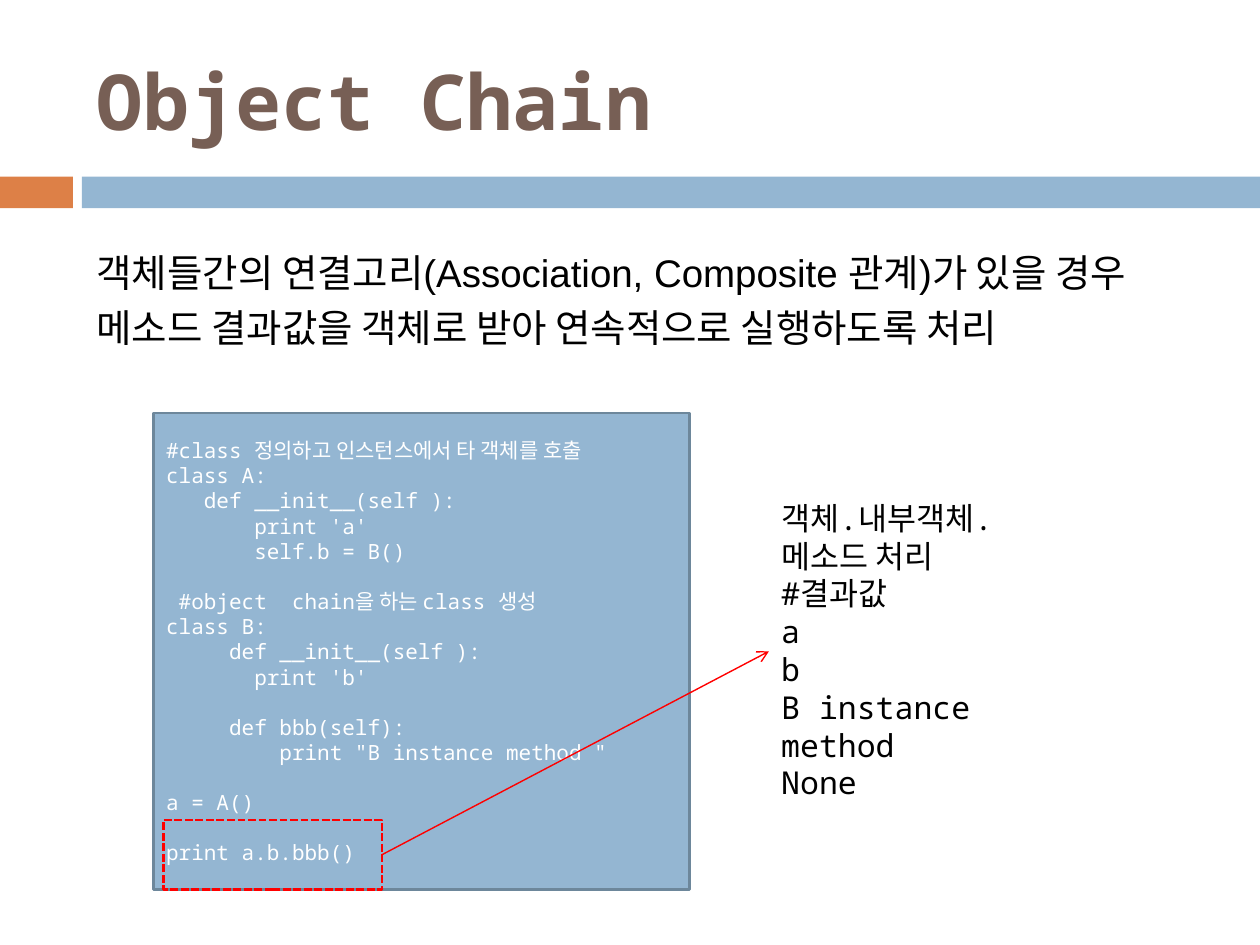
from lxml.etree import SubElement
from pptx import Presentation
from pptx.dml.color import RGBColor
from pptx.enum.dml import MSO_LINE
from pptx.enum.shapes import MSO_CONNECTOR, MSO_SHAPE
from pptx.enum.text import MSO_ANCHOR, PP_ALIGN
from pptx.oxml.ns import qn
from pptx.util import Cm, Pt

MONO = "Noto Sans Mono"
BLUE, RED = "94B6D2", "FF0000"
TITLE = "Object Chain"
INTRO = ["객체들간의 연결고리(Association, Composite 관계)가 있을 경우 "
         "메소드 결과값을 객체로 받아 연속적으로 실행하도록 처리"]
CODE = [
    ["#class 정의하고 인스턴스에서 타 객체를 호출",
     "class A:",
     "   def __init__(self ):",
     "       print 'a'",
     "       self.b = B()"],
    [" #object  chain을 하는 class 생성",
     "class B:",
     "     def __init__(self ):",
     "       print 'b'"],
    ["     def bbb(self):",
     "         print \"B instance method \""],
    ["a = A()"],
    ["print a.b.bbb()"],
]
RESULT = ["객체.내부객체.메소드 처리", "#결과값", "a", "b", "B instance method", "None"]
BANDS = [(0, 1.47, "DD8047"), (1.65, 23.75, BLUE)]


def rgb(code):
    return RGBColor.from_string(code)


def style(para, size, color, name=MONO, bold=False):
    para.alignment = PP_ALIGN.LEFT
    font = para.font
    font.size, font.name, font.bold = Pt(size), name, bold
    font.color.rgb = rgb(color)


def write(frame, lines, size, color, name=MONO):
    frame.word_wrap = True
    frame.text = "\n".join(lines)
    for para in frame.paragraphs:
        style(para, size, color, name)


def rect(slide, box, fill=None, line=None):
    shape = slide.shapes.add_shape(MSO_SHAPE.RECTANGLE, *map(Cm, box))
    shape.shadow.inherit = False
    if fill:
        shape.fill.solid()
        shape.fill.fore_color.rgb = rgb(fill)
    else:
        shape.fill.background()
    if line:
        shape.line.color.rgb = rgb(line)
        shape.line.width = Pt(1.5)
    else:
        shape.line.fill.background()
    return shape


def note(slide, box, lines, size, name=MONO):
    frame = slide.shapes.add_textbox(*map(Cm, box)).text_frame
    write(frame, lines, size, "000000", name)
    return frame


def arrow(slide, start, end):
    link = slide.shapes.add_connector(
        MSO_CONNECTOR.STRAIGHT, *map(Cm, start + end))
    link.line.color.rgb = rgb(RED)
    link.line.width = Pt(0.79)
    SubElement(link.line._get_or_add_ln(), qn("a:tailEnd"), type="arrow")
    SubElement(link._element.spPr, qn("a:effectLst"))


def main():
    """Build the object chain slide."""
    deck = Presentation()
    deck.slide_width, deck.slide_height = Cm(25.4), Cm(19.05)
    slide = deck.slides.add_slide(deck.slide_layouts[5])

    for left, width, color in BANDS:
        rect(slide, (left, 3.56, width, 0.64), color)

    head = slide.shapes.title
    head.left, head.top, head.width, head.height = map(Cm, (1.7, 0.64, 22.66, 2.74))
    head.text_frame.text = TITLE
    head.text_frame.vertical_anchor = MSO_ANCHOR.MIDDLE
    style(head.text_frame.paragraphs[0], 44, "775F55", bold=True)

    frame = rect(slide, (3.1, 8.33, 10.8, 9.6), BLUE, "6D879B").text_frame
    frame.vertical_anchor = MSO_ANCHOR.MIDDLE
    write(frame, sum(CODE, []), 12, "FFFFFF")
    row = 0
    for block in CODE[:-1]:
        row += len(block)
        frame.paragraphs[row].space_before = Pt(14.3)

    intro = note(slide, (1.7, 4.7, 22.66, 2.82), INTRO, 22, "Arial")
    intro.paragraphs[0].line_spacing = 1.2
    note(slide, (15.5, 9.93, 6.2, 6.4), RESULT, 18)

    left, top, width, height = mark = 3.3, 16.53, 4.4, 1.4
    rect(slide, mark, line=RED).line.dash_style = MSO_LINE.SQUARE_DOT
    arrow(slide, (left + width, top + height / 2), (15.5, 13.13))
    deck.save("out.pptx")


if __name__ == "__main__":
    main()
